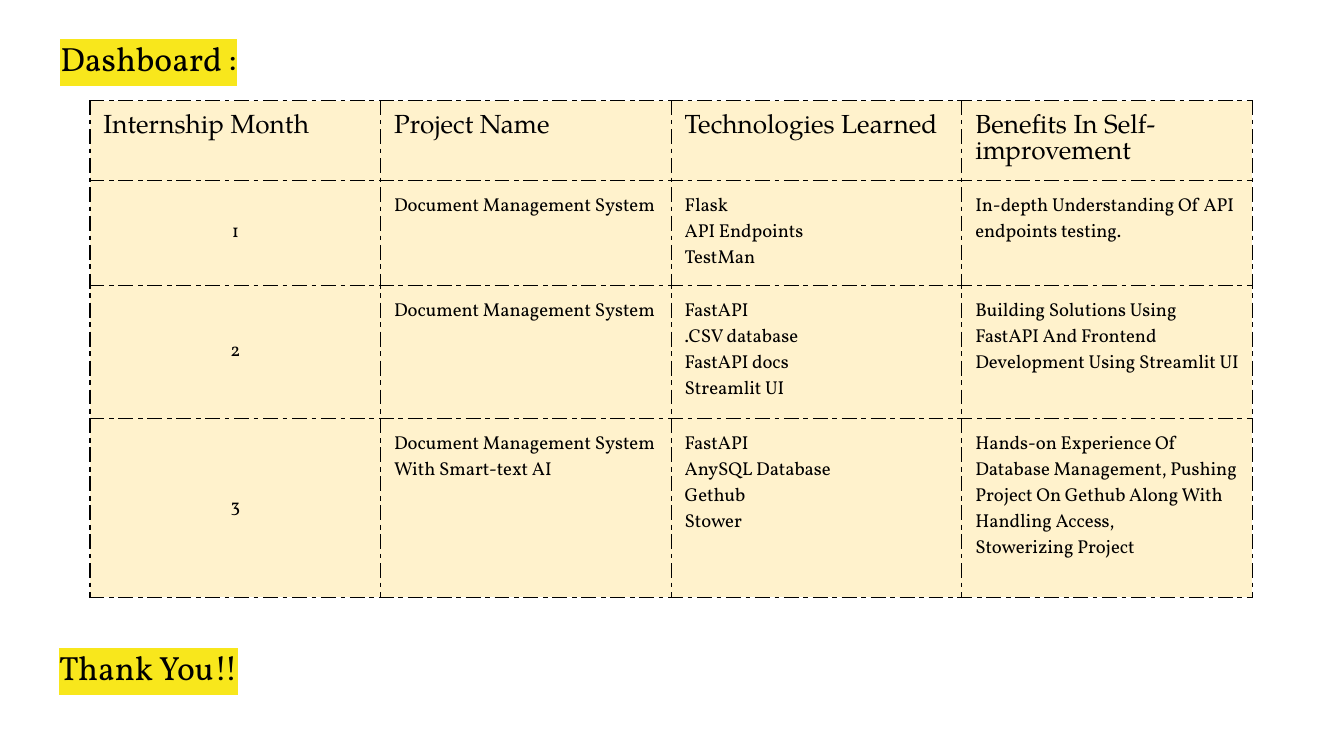
from lxml import etree
from pptx import Presentation
from pptx.dml.color import RGBColor
from pptx.enum import text
from pptx.oxml import ns
from pptx.util import Inches, Pt

BODY_FONT, HEAD_FONT = "Vollkorn", "TeX Gyre Pagella"
BLACK, CREAM, YELLOW = "000000", "FFF2CC", "F8E71C"
TABLE_WIDTH = 8.65
ROW_HEIGHTS = [0.53, 0.65, 0.99, 1.33]
SYSTEM = "Document Management System"

# Each cell is a list of paragraphs
ROWS = [
    [["Internship Month"], ["Project Name"], ["Technologies Learned"],
     ["Benefits In Self-improvement"]],
    [["1"], [SYSTEM], ["Flask", "API Endpoints", "TestMan"],
     ["In-depth Understanding Of API endpoints testing."]],
    [["2"], [SYSTEM],
     ["FastAPI", ".CSV database", "FastAPI docs", "Streamlit UI"],
     ["Building Solutions Using FastAPI And Frontend Development "
      "Using Streamlit UI"]],
    [["3"], [SYSTEM + " With Smart-text AI"],
     ["FastAPI", "AnySQL Database", "Gethub", "Stower"],
     ["Hands-on Experience Of Database Management, Pushing Project On "
      "Gethub Along With Handling Access,", "Stowerizing Project"]],
]


def color(value):
    return RGBColor.from_string(value)


def add_span(para, words, size, font):
    span = para.add_run()
    span.text = words
    span.font.size = Pt(size)
    span.font.name = font
    span.font.color.rgb = color(BLACK)
    return span


def set_margins(box):
    box.margin_left = box.margin_right = Inches(0.1)
    box.margin_top = box.margin_bottom = Inches(0.1)


def highlight(span, value):
    """Add a text highlight, which must follow the fill."""
    mark = etree.Element(ns.qn("a:highlight"))
    etree.SubElement(mark, ns.qn("a:srgbClr"), val=value)
    span._r.rPr.find(ns.qn("a:solidFill")).addnext(mark)


def add_heading(holder, words, bounds, anchor):
    """Put one highlighted line into a placeholder."""
    holder.left, holder.top, holder.width, holder.height = map(Inches, bounds)
    box = holder.text_frame
    box.word_wrap = True
    box.auto_size = text.MSO_AUTO_SIZE.NONE
    box.vertical_anchor = anchor
    set_margins(box)
    para = box.paragraphs[0]
    para.alignment = text.PP_ALIGN.LEFT
    para.space_before = Pt(0)
    # No bullet and no hanging indent
    settings = para._p.get_or_add_pPr()
    settings.set("marL", "0")
    settings.set("indent", "0")
    etree.SubElement(settings, ns.qn("a:buNone"))
    highlight(add_span(para, words, 18, BODY_FONT), YELLOW)


def add_borders(cell):
    settings = cell._tc.get_or_add_tcPr()
    for index, side in enumerate(["lnL", "lnR", "lnT", "lnB"]):
        line = etree.Element(ns.qn("a:" + side), w=str(Pt(0.75)))
        fill = etree.SubElement(line, ns.qn("a:solidFill"))
        etree.SubElement(fill, ns.qn("a:srgbClr"), val=BLACK)
        etree.SubElement(line, ns.qn("a:prstDash"), val="lgDashDot")
        settings.insert(index, line)


def fill_cell(cell, lines, size, font, centered):
    cell.fill.solid()
    cell.fill.fore_color.rgb = color(CREAM)
    add_borders(cell)
    set_margins(cell)
    middle, top = text.MSO_ANCHOR.MIDDLE, text.MSO_ANCHOR.TOP
    cell.vertical_anchor = middle if centered else top
    box = cell.text_frame
    for index, words in enumerate(lines):
        para = box.add_paragraph() if index else box.paragraphs[0]
        if centered:
            para.alignment = text.PP_ALIGN.CENTER
        add_span(para, words, size, font)


def add_dashboard(page, left, top):
    frame = page.shapes.add_table(
        len(ROWS), len(ROWS[0]), Inches(left), Inches(top),
        Inches(TABLE_WIDTH), Inches(sum(ROW_HEIGHTS)))
    table = frame.table
    table.first_row = table.horz_banding = False
    for r, (height, row) in enumerate(zip(ROW_HEIGHTS, ROWS)):
        table.rows[r].height = Inches(height)
        size, font = (10, BODY_FONT) if r else (14, HEAD_FONT)
        for c, lines in enumerate(row):
            fill_cell(table.cell(r, c), lines, size, font, r > 0 and c == 0)


def main():
    deck = Presentation()
    # Widescreen, 16 to 9
    deck.slide_width = Inches(10)
    deck.slide_height = deck.slide_width * 9 // 16
    page = deck.slides.add_slide(deck.slide_layouts[1])
    add_heading(page.shapes.title, "Dashboard :",
                (0.35, 0.18, 4.09, 0.38), text.MSO_ANCHOR.TOP)
    add_dashboard(page, 0.67, 0.75)
    add_heading(page.placeholders[1], "Thank You!!",
                (0.34, 4.63, 6.56, 0.66), text.MSO_ANCHOR.MIDDLE)
    deck.save("out.pptx")


if __name__ == "__main__":
    main()
